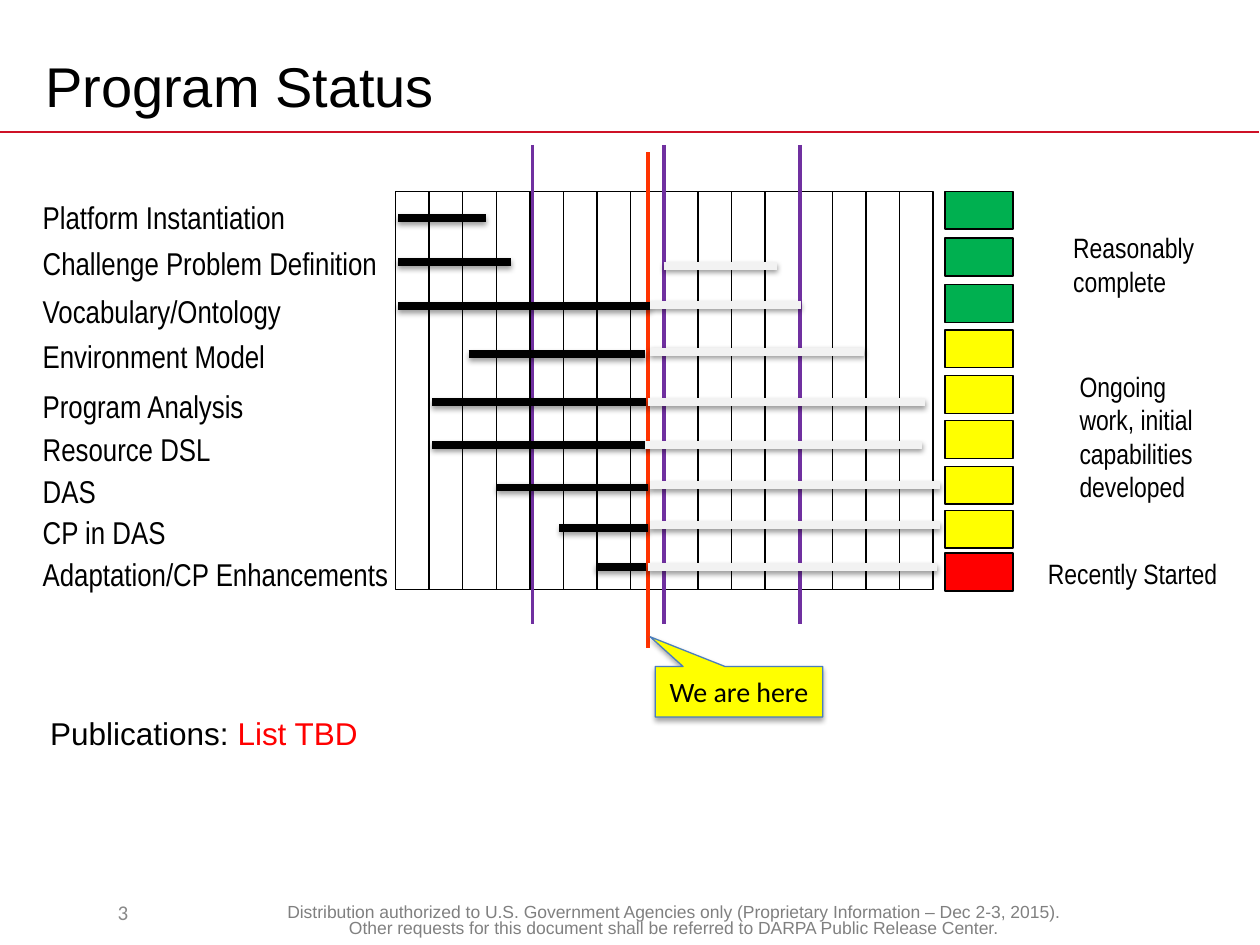
from lxml.etree import SubElement
from pptx import Presentation
from pptx.dml.color import RGBColor
from pptx.enum.shapes import MSO_CONNECTOR, MSO_SHAPE
from pptx.enum.text import MSO_ANCHOR, PP_ALIGN
from pptx.oxml.ns import qn
from pptx.util import Pt

BLACK, GREEN, YELLOW, RED = "000000", "00B050", "FFFF00", "FF0000"
PURPLE, ORANGE, PALE = "7030A0", "FF3300", "F2F2F2"
NARROW = "Arial Narrow"

# Task, label top, status box top and colour, done and planned bars (x1, x2, y)
TASKS = [
    ("Platform Instantiation", 112.3, 109.4, GREEN, (227.5, 277.9, 124.6), None),
    ("Challenge Problem Definition", 138.2, 136.1, GREEN, (227.5, 292.3, 149.8), (379.4, 444.2, 151.9)),
    ("Vocabulary/Ontology", 165.6, 162.7, GREEN, (227.5, 371.5, 175), (371.5, 457.9, 174.2)),
    ("Environment Model", 191.5, 188.6, YELLOW, (267.8, 368.6, 202.3), (371.5, 493.9, 200.9)),
    ("Program Analysis", 220.3, 214.6, YELLOW, (247, 369.4, 229.7), (370.1, 528.5, 229.7)),
    ("Resource DSL", 244.8, 240.5, YELLOW, (247, 369.4, 254.2), (368.6, 527, 254.2)),
    ("DAS", 268.6, 266.4, YELLOW, (283.7, 370.1, 278.6), (371.5, 537.1, 277.2)),
    ("CP in DAS", 292.3, 291.6, YELLOW, (319.7, 370.1, 301.7), (371.5, 537.1, 300.2)),
    ("Adaptation/CP Enhancements", 316.1, 316.1, RED, (340.6, 369.4, 324), (370.1, 535.7, 324)),
]
# Status notes: text, left, top, width, height
NOTES = [
    ("Reasonably complete", 606.2, 128.2, 90, 46),
    ("Ongoing work, initial capabilities developed", 609.8, 207.4, 90, 85),
    ("Recently Started", 591.8, 314.6, 126.7, 26.6),
]
# Vertical markers: x, top, bottom, colour, width
MARKS = [(x, 82.8, 356.4, PURPLE, 2) for x in (304.4, 379.4, 457.2)]
MARKS.append((370.1, 87.1, 370.1, ORANGE, 2.25))
FOOT = ("Distribution authorized to U.S. Government Agencies only "
        "(Proprietary Information – Dec 2-3, 2015). Other requests for this "
        "document shall be referred to DARPA Public Release Center.")
COLS, LEFT, TOP, STEP, TALL = 16, 226, 109.4, 19.2, 227.5

deck = Presentation()
deck.slide_width, deck.slide_height = Pt(720), Pt(540)
slide = deck.slides.add_slide(deck.slide_layouts[6])
shapes = slide.shapes


def tint(code):
    return RGBColor.from_string(code)


def style(run, size, font, color):
    run.font.size, run.font.name = Pt(size), font
    run.font.color.rgb = tint(color)


def write(text, x, y, w, h, size, font="Arial", color=BLACK,
          align=PP_ALIGN.LEFT, anchor=MSO_ANCHOR.TOP, gap=1.0):
    frame = shapes.add_textbox(Pt(x), Pt(y), Pt(w), Pt(h)).text_frame
    frame.word_wrap, frame.vertical_anchor = True, anchor
    para = frame.paragraphs[0]
    para.text, para.alignment, para.line_spacing = text, align, gap
    style(para.runs[0], size, font, color)
    return para


def shade(effects, alpha, dist):
    outer = SubElement(effects, qn("a:outerShdw"), blurRad=str(Pt(3.1)),
                       dist=str(Pt(dist)), dir="5400000", rotWithShape="0")
    color = SubElement(outer, qn("a:srgbClr"), val=BLACK)
    SubElement(color, qn("a:alpha"), val=str(alpha * 1000))


def rule(x1, y1, x2, y2, color, width, shadow=False):
    line = shapes.add_connector(MSO_CONNECTOR.STRAIGHT, Pt(x1), Pt(y1), Pt(x2), Pt(y2))
    line.line.color.rgb, line.line.width = tint(color), Pt(width)
    effects = SubElement(line._element.spPr, qn("a:effectLst"))
    if shadow:
        shade(effects, 38, 1.6)


def block(x, y, w, h, fill=None, edge=BLACK, kind=MSO_SHAPE.RECTANGLE):
    shape = shapes.add_shape(kind, Pt(x), Pt(y), Pt(w), Pt(h))
    shape.shadow.inherit = False
    if fill:
        shape.fill.solid()
        shape.fill.fore_color.rgb = tint(fill)
    else:
        shape.fill.background()
    shape.line.color.rgb, shape.line.width = tint(edge), Pt(0.75)
    return shape


# Title, rule and footer
rule(0, 75.6, 719.3, 75.6, "CE1126", 1)
write(FOOT, 151.9, 513.4, 465.8, 22.3, 10, color="808080", align=PP_ALIGN.CENTER, gap=0.8)
write("Program Status", 18.7, 21.6, 648, 54, 32, anchor=MSO_ANCHOR.MIDDLE)
write("3", 20.2, 506.9, 100, 28.8, 12, "Calibri", "898989", PP_ALIGN.CENTER, MSO_ANCHOR.MIDDLE)

# Time grid and markers
for col in range(COLS):
    block(LEFT + col * STEP, TOP, STEP, TALL)
for x, top, low, color, width in MARKS:
    rule(x, top, x, low, color, width)

# Task labels and status boxes
for name, top, box, color, done, plan in TASKS:
    write(name, 17.3, top, 226, 26.6, 18, NARROW, gap=0.9)
    block(540, box, 38.9, 21.6, color)
for text, x, y, w, h in NOTES:
    write(text, x, y, w, h, 16, NARROW)

# Bars: all done work, then all planned work
for part, color in ((4, BLACK), (5, PALE)):
    for task in TASKS:
        if task[part]:
            x1, x2, y = task[part]
            rule(x1, y, x2, y, color, 4.5, shadow=True)

# Callout for today
here = block(374.4, 380.9, 95.8, 28.8, YELLOW, "4B7EBC", MSO_SHAPE.RECTANGULAR_CALLOUT)
here.adjustments[0], here.adjustments[1] = -0.53, -1.09
shade(here._element.spPr.find(qn("a:effectLst")), 35, 1.8)
here.text_frame.text = "We are here"
here.text_frame.vertical_anchor = MSO_ANCHOR.MIDDLE
para = here.text_frame.paragraphs[0]
para.alignment = PP_ALIGN.CENTER
style(para.runs[0], 16, "Calibri", BLACK)

# Publications
para = write("Publications: ", 21.6, 404.6, 256.3, 28.8, 18)
run = para.add_run()
run.text = "List TBD"
style(run, 18, "Arial", RED)

deck.save("out.pptx")
